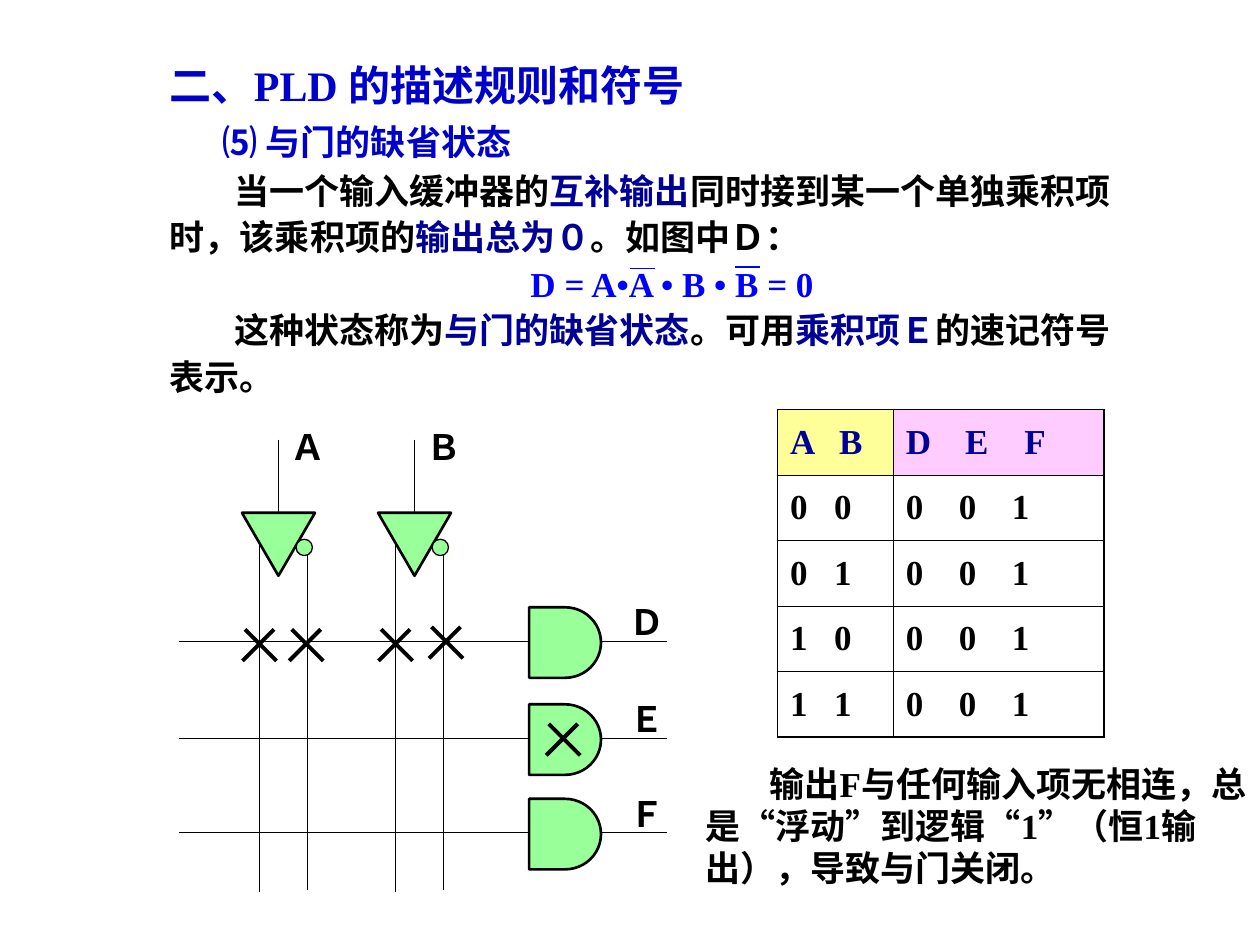
"""Build the slide on the default state of AND gates in PLD notation."""
import pptx
import pptx.dml.color
import pptx.enum.shapes
import pptx.enum.text
import pptx.oxml
import pptx.oxml.ns
import pptx.util
from lxml import etree

Inches = pptx.util.Inches
Shape = pptx.enum.shapes.MSO_SHAPE
Align = pptx.enum.text.PP_ALIGN
Anchor = pptx.enum.text.MSO_ANCHOR
qn = pptx.oxml.ns.qn

FONT = "Times New Roman"
BLACK, NAVY, BLUE, HEADING = "000000", "000099", "0000FF", "0000CC"
GREEN, YELLOW, PINK, WHITE = "99FF99", "FFFF99", "FFCCFF", "FFFFFF"
INDENT = 0.51

HEADING_TEXT = [([("二、PLD 的描述规则和符号", HEADING)], 0, Align.LEFT)]
SUBHEADING = [([("⑸ 与门的缺省状态", HEADING)], 0, Align.LEFT)]
EXPLANATION = [
    ([("当一个输入缓冲器的", BLACK), ("互补输出", NAVY),
      ("同时接到某一个单独乘积项", BLACK)], INDENT, Align.LEFT),
    ([("时，该乘积项的", BLACK), ("输出总为０", NAVY),
      ("。如图中Ｄ：", BLACK)], 0, Align.LEFT),
    ([("D = A•A • B • B = 0", BLUE)], 0, Align.CENTER),
    ([("这种状态称为", BLACK), ("与门的缺省状态", NAVY), ("。可用", BLACK),
      ("乘积项Ｅ", NAVY), ("的速记符号", BLACK)], INDENT, Align.LEFT),
    ([("表示。", BLACK)], 0, Align.LEFT),
]
FLOATING_NOTE = [([("输出F与任何输入项无相连，总是“浮动”到逻辑“1”（恒1输出），导致与门关闭。",
                    BLACK)], INDENT, Align.LEFT)]
TRUTH_TABLE = [("AB", "DEF"), ("00", "001"), ("01", "001"), ("10", "001"), ("11", "001")]
COLUMN_WIDTHS = (0.92, 1.67)
ROW_HEIGHT = 0.52
HEADER_TABS, VALUE_TABS = (0.39, 0.47), (0.35, 0.42)
INPUTS = {"Ａ": 2.21, "Ｂ": 3.29}
GATES = {"Ｄ": 5.09, "Ｅ": 5.86, "Ｆ": 6.61}
CROSSES = [(2.06, 5.12), (2.43, 5.12), (3.14, 5.12), (3.54, 5.1), (4.47, 5.87)]
OVERBARS = [(5, 2.13), (5.83, 2.12)]


def rgb(color):
    return pptx.dml.color.RGBColor.from_string(color)


def style(run, size, color):
    run.font.name, run.font.size, run.font.bold = FONT, pptx.util.Pt(size), True
    run.font.color.rgb = rgb(color)


def add_text(slide, box, paragraphs, size=20, spacing=1.0, before=0, anchor=Anchor.TOP):
    frame = slide.shapes.add_textbox(*map(Inches, box)).text_frame
    frame.word_wrap = True
    frame.vertical_anchor = anchor
    for index, (pieces, indent, align) in enumerate(paragraphs):
        paragraph = frame.paragraphs[0] if index == 0 else frame.add_paragraph()
        paragraph.alignment, paragraph.line_spacing = align, spacing
        paragraph.space_before = pptx.util.Pt(before if index else 0)
        if indent:
            paragraph._p.get_or_add_pPr().set("indent", str(Inches(indent)))
        for text, color in pieces:
            run = paragraph.add_run()
            run.text = text
            style(run, size, color)


def add_label(slide, letter, left, top):
    add_text(slide, (left, top, 0.5, 0.44), [([(letter, BLACK)], 0, Align.LEFT)])


def add_wire(slide, x1, y1, x2, y2, width=0.75, color=BLACK):
    wire = slide.shapes.add_connector(
        pptx.enum.shapes.MSO_CONNECTOR.STRAIGHT, *map(Inches, (x1, y1, x2, y2)))
    wire.line.width, wire.line.color.rgb = pptx.util.Pt(width), rgb(color)
    etree.SubElement(wire._element.spPr, qn("a:effectLst"))


def add_symbol(slide, kind, box, width=1.5):
    symbol = slide.shapes.add_shape(kind, *map(Inches, box))
    symbol.shadow.inherit = False
    symbol.fill.solid()
    symbol.fill.fore_color.rgb = rgb(GREEN)
    symbol.line.width, symbol.line.color.rgb = pptx.util.Pt(width), rgb(BLACK)


def add_input(slide, letter, x):
    add_symbol(slide, Shape.FLOWCHART_MERGE, (x - 0.29, 4.07, 0.58, 0.5))
    add_symbol(slide, Shape.OVAL, (x + 0.14, 4.28, 0.13, 0.13), 0.75)
    add_wire(slide, x - 0.15, 4.3, x - 0.15, 7.08)
    add_wire(slide, x + 0.23, 4.4, x + 0.23, 7.06)
    add_wire(slide, x, 3.49, x, 4.07)
    add_label(slide, letter, x, 3.33)


def add_gate(slide, letter, y):
    add_wire(slide, 1.42, y, 4.2, y)
    add_wire(slide, 4.76, y, 5.29, y)
    add_label(slide, letter, 4.9, y - 0.37)
    add_symbol(slide, Shape.FLOWCHART_DELAY, (4.2, y - 0.27, 0.57, 0.56))


def add_cross(slide, x, y, arm=0.125, shift=0.01):
    add_wire(slide, x + shift - arm, y - arm, x + shift + arm, y + arm, 2.25)
    add_wire(slide, x - shift + arm, y - arm, x - shift - arm, y + arm, 2.25)


def set_borders(cell, outer_sides):
    properties = cell._tc.get_or_add_tcPr()
    for index, (side, outer) in enumerate(zip("LRTB", outer_sides)):
        border = etree.Element(qn(f"a:ln{side}"), w=str(pptx.util.Pt(1.08 if outer else 0.45)))
        fill = etree.SubElement(border, qn("a:solidFill"))
        etree.SubElement(fill, qn("a:srgbClr"), val=BLACK)
        properties.insert(index, border)


def add_truth_table(slide):
    rows, columns = len(TRUTH_TABLE), len(COLUMN_WIDTHS)
    table = slide.shapes.add_table(
        rows, columns, Inches(6.17), Inches(3.25),
        Inches(sum(COLUMN_WIDTHS)), Inches(ROW_HEIGHT * rows)).table
    for column, width in zip(table.columns, COLUMN_WIDTHS):
        column.width = Inches(width)
    for r, entries in enumerate(TRUTH_TABLE):
        table.rows[r].height = Inches(ROW_HEIGHT)
        for c, symbols in enumerate(entries):
            cell = table.cell(r, c)
            cell.vertical_anchor = Anchor.MIDDLE
            cell.margin_left = cell.margin_right = Inches(0.1)
            cell.fill.solid()
            cell.fill.fore_color.rgb = rgb(WHITE if r else (YELLOW, PINK)[c])
            set_borders(cell, (c == 0, c == columns - 1, r == 0, r == rows - 1))
            paragraph = cell.text_frame.paragraphs[0]
            stops = etree.SubElement(paragraph._p.get_or_add_pPr(), qn("a:tabLst"))
            step = (VALUE_TABS if r else HEADER_TABS)[c]
            for n in range(1, len(symbols)):
                etree.SubElement(stops, qn("a:tab"), pos=str(Inches(step * n)), algn="l")
            paragraph.text = "\t".join(symbols)
            style(paragraph.runs[0], 20, BLACK if r else NAVY)


def main():
    deck = pptx.Presentation()
    deck.slide_width, deck.slide_height = Inches(10), Inches(7.5)
    slide = deck.slides.add_slide(deck.slide_layouts[6])
    add_text(slide, (1.67, 0.75, 3.75, 0.75), SUBHEADING, anchor=Anchor.MIDDLE)
    add_text(slide, (1.25, 1.33, 8.17, 1.92), EXPLANATION, spacing=0.9, before=5)
    for letter, x in INPUTS.items():
        add_input(slide, letter, x)
    for letter, y in GATES.items():
        add_gate(slide, letter, y)
    for x, y in CROSSES:
        add_cross(slide, x, y)
    add_truth_table(slide)
    for x, y in OVERBARS:
        add_wire(slide, x, y, x + 0.2, y, color=BLUE)
    add_text(slide, (5.5, 6, 4.5, 1.1), FLOATING_NOTE)
    add_text(slide, (1.25, 0.5, 6.75, 0.42), HEADING_TEXT, size=24, spacing=0.8)
    deck.save("out.pptx")


if __name__ == "__main__":
    main()
